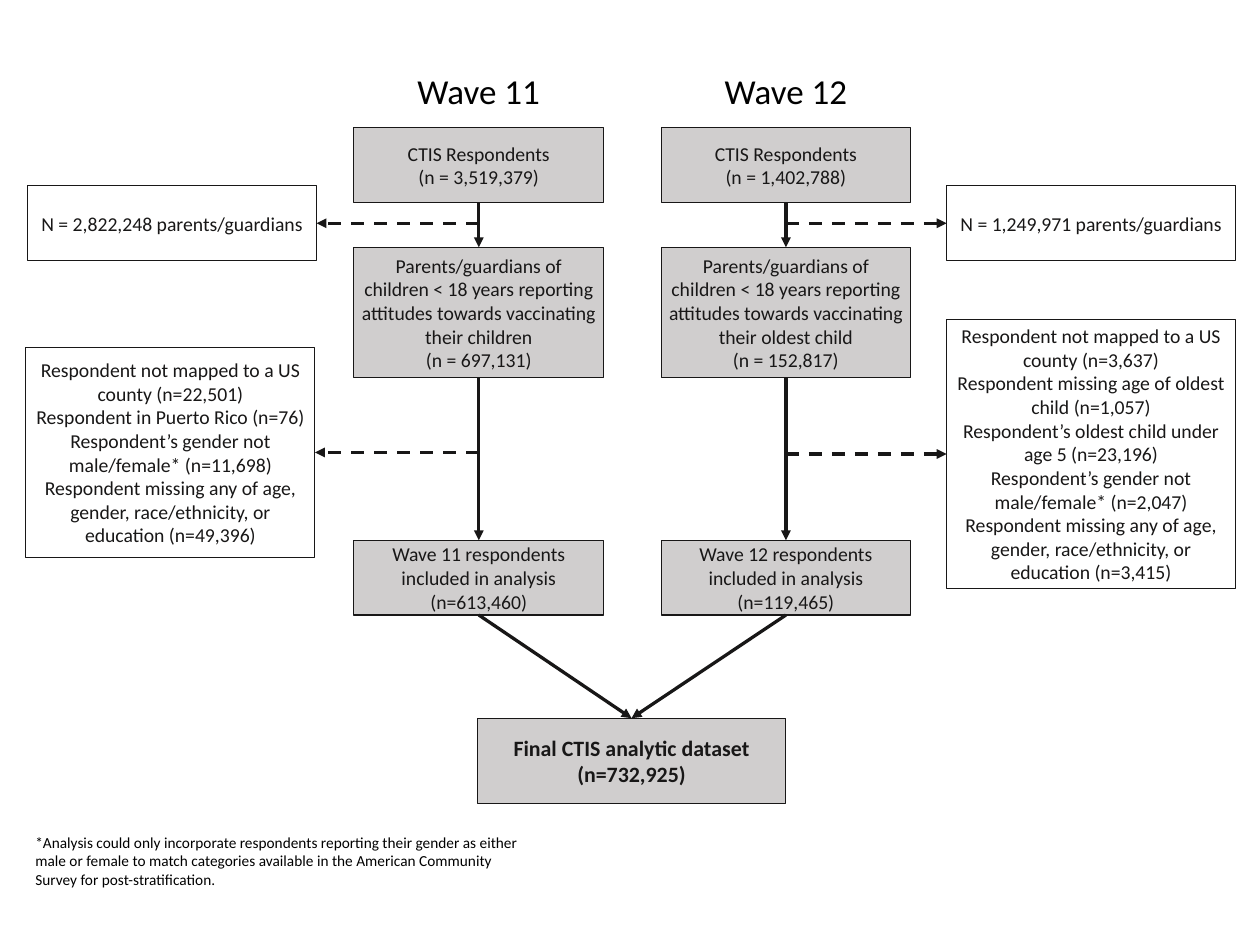
from lxml.etree import SubElement
from pptx import Presentation
from pptx.dml.color import RGBColor
from pptx.enum.dml import MSO_LINE
from pptx.enum.shapes import MSO_CONNECTOR, MSO_SHAPE
from pptx.enum.text import MSO_ANCHOR, PP_ALIGN
from pptx.oxml.ns import qn
from pptx.util import Inches, Pt

INK = RGBColor(0x18, 0x17, 0x17)
GREY = RGBColor(0xD0, 0xCE, 0xCE)
BLACK = RGBColor(0, 0, 0)
FONT = "Calibri"

# The slide is a grid of 16 columns by 12 rows.
COLS, ROWS = 16, 12
CELL = Inches(1)

MAIN_W, SIDE_W, LAST_W = 3.17, 3.67, 3.92
LOW_H, MID_H, LAST_H = 0.95, 1.66, 1.08
TOP_Y, MID_Y, LOW_Y, LAST_Y = 1.62, 3.14, 6.86, 9.12
SIDE_Y, LAST_X = 2.36, 8.02

WAVES = [
    dict(
        name="Wave 11", mid=6.08, total="3,519,379", kept="697,131",
        child="their children", used="613,460",
        cuts=[
            (0.35, SIDE_Y, LOW_H, ["N = 2,822,248 parents/guardians"]),
            (0.33, 4.41, 2.67, [
                "Respondent not mapped to a US county (n=22,501)",
                "Respondent in Puerto Rico (n=76)",
                "Respondent’s gender not male/female* (n=11,698)",
                "Respondent missing any of age, gender, race/ethnicity, "
                "or education (n=49,396)"]),
        ]),
    dict(
        name="Wave 12", mid=9.98, total="1,402,788", kept="152,817",
        child="their oldest child", used="119,465",
        cuts=[
            (12.02, SIDE_Y, LOW_H, ["N = 1,249,971 parents/guardians"]),
            (12.02, 4.06, 3.41, [
                "Respondent not mapped to a US county (n=3,637)",
                "Respondent missing age of oldest child (n=1,057)",
                "Respondent’s oldest child under age 5 (n=23,196)",
                "Respondent’s gender not male/female* (n=2,047)",
                "Respondent missing any of age, gender, race/ethnicity, "
                "or education (n=3,415)"]),
        ]),
]


def grid(*cells):
    """Turn grid cells into slide lengths."""
    return [round(n * CELL) for n in cells]


def write(frame, lines, size=18, color=INK, bold=False,
          align=PP_ALIGN.CENTER, anchor=MSO_ANCHOR.MIDDLE, wrap=True):
    """Fill a text frame, one paragraph per line."""
    frame.word_wrap = wrap
    frame.vertical_anchor = anchor
    for i, line in enumerate(lines):
        para = frame.add_paragraph() if i else frame.paragraphs[0]
        para.alignment = align
        run = para.add_run()
        run.text = line
        font = run.font
        font.name, font.size, font.bold = FONT, Pt(size), bold
        font.color.rgb = color


def label(slide, x, y, w, h, lines, **form):
    """Add plain text with no outline."""
    area = slide.shapes.add_textbox(*grid(x, y, w, h))
    write(area.text_frame, lines, color=BLACK, anchor=MSO_ANCHOR.TOP, **form)


def box(slide, x, y, w, h, lines, fill=None, **form):
    """Add an outlined box, clear unless a fill is given."""
    shape = slide.shapes.add_shape(MSO_SHAPE.RECTANGLE, *grid(x, y, w, h))
    shape.shadow.inherit = False
    if fill is None:
        shape.fill.background()
    else:
        shape.fill.solid()
        shape.fill.fore_color.rgb = fill
    shape.line.color.rgb = INK
    shape.line.width = Pt(1)
    write(shape.text_frame, lines, **form)


def arrow(slide, x1, y1, x2, y2, dash=False):
    """Add a line with an arrowhead at its end."""
    link = slide.shapes.add_connector(
        MSO_CONNECTOR.STRAIGHT, *grid(x1, y1, x2, y2))
    link.line.color.rgb = INK
    link.line.width = Pt(3)
    if dash:
        link.line.dash_style = MSO_LINE.DASH
    SubElement(link.line._get_or_add_ln(), qn("a:tailEnd"), type="triangle")
    SubElement(link._element.spPr, qn("a:effectLst"))


def lane(slide, wave):
    """Draw one wave: its title, main steps, cuts and arrows."""
    mid, name = wave["mid"], wave["name"]
    label(slide, mid - 0.885, 0.83, 1.77, 0.64, [name], size=32, wrap=False)
    steps = [
        (TOP_Y, LOW_H, ["CTIS Respondents", f"(n = {wave['total']})"]),
        (MID_Y, MID_H, [
            "Parents/guardians of children < 18 years reporting "
            f"attitudes towards vaccinating {wave['child']}",
            f"(n = {wave['kept']})"]),
        (LOW_Y, LOW_H, [f"{name} respondents included in analysis",
                        f"(n={wave['used']})"]),
    ]
    for y, h, lines in steps:
        box(slide, mid - MAIN_W / 2, y, MAIN_W, h, lines, fill=GREY)
    for (y, h, _), (goal, _, _) in zip(steps, steps[1:]):
        arrow(slide, mid, y + h, mid, goal)
    arrow(slide, mid, LOW_Y + LOW_H, LAST_X, LAST_Y)
    for x, y, h, lines in wave["cuts"]:
        box(slide, x, y, SIDE_W, h, lines)
        edge = x if x > mid else x + SIDE_W
        arrow(slide, mid, y + h / 2, edge, y + h / 2, dash=True)


def main():
    """Build the flow chart and save it."""
    deck = Presentation()
    deck.slide_width, deck.slide_height = grid(COLS, ROWS)
    slide = deck.slides.add_slide(deck.slide_layouts[6])
    box(slide, LAST_X - LAST_W / 2, LAST_Y, LAST_W, LAST_H,
        ["Final CTIS analytic dataset", "(n=732,925)"],
        fill=GREY, size=20, bold=True)
    for wave in WAVES:
        lane(slide, wave)
    label(slide, 0.35, 10.53, 6.4, 0.81, [
        "*Analysis could only incorporate respondents reporting their gender "
        "as either male or female to match categories available in the "
        "American Community Survey for post-stratification."],
        size=14, align=PP_ALIGN.LEFT)
    deck.save("out.pptx")


main()
